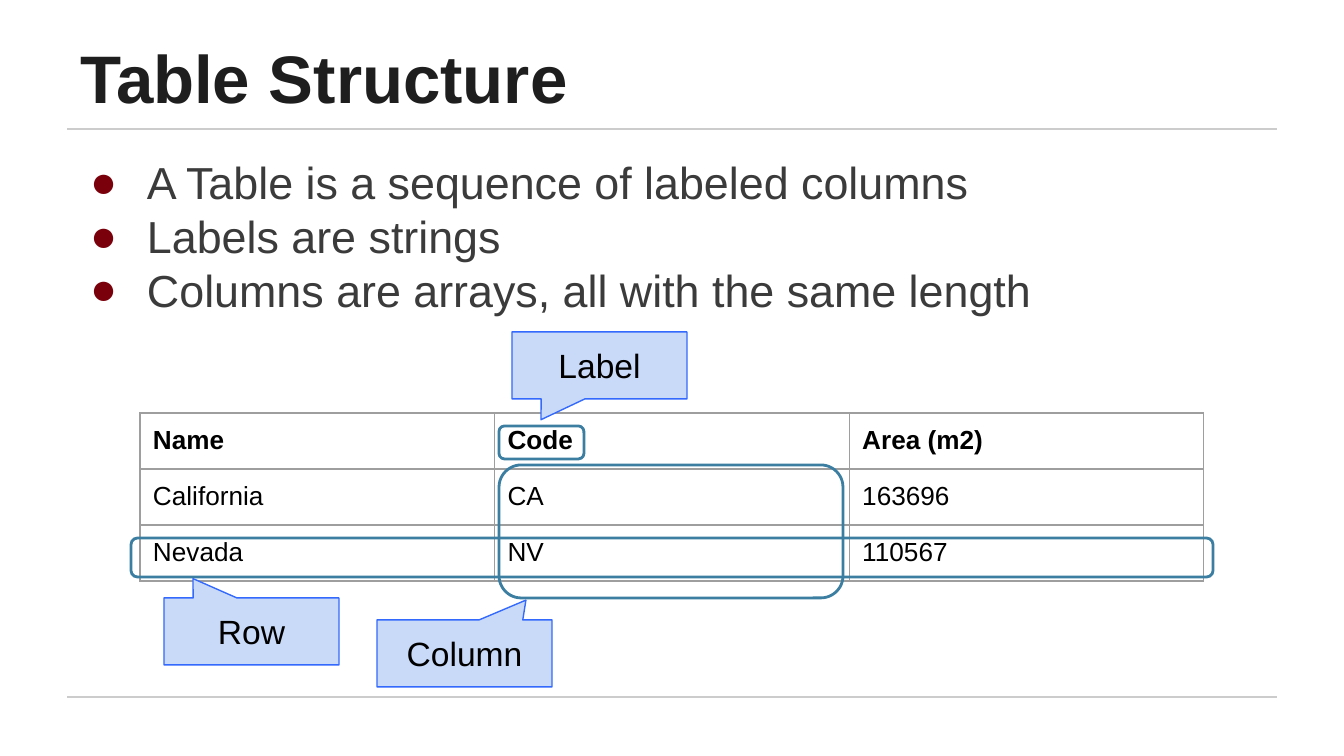
from lxml import etree
from pptx import Presentation
from pptx.dml.color import RGBColor
from pptx.enum import shapes, text
from pptx.oxml import parse_xml
from pptx.oxml.ns import nsdecls, qn
from pptx.util import Pt

# Content
TITLE = "Table Structure"
POINTS = [
    "A Table is a sequence of labeled columns",
    "Labels are strings",
    "Columns are arrays, all with the same length",
]
ROWS = [
    ("Name", "Code", "Area (m2)"),
    ("California", "CA", "163696"),
    ("Nevada", "NV", "110567"),
]
# Callout word, its box, its tip, and the frame it points to (px)
NOTES = [
    ("Label", (512, 332), (-0.334, 0.811), (499, 426, 85, 33)),
    ("Column", (377, 620), (0.351, -0.796), (499, 465, 344, 133)),
    ("Row", (164, 598), (-0.334, -0.789), (131, 538, 1082, 39)),
]
NOTE_W, NOTE_H = 175, 67
RULES = [129, 697]
GRID = (140, 413, 1064, 168)

INK = RGBColor(0x1E, 0x1E, 0x1E)
GREY = RGBColor(0x3B, 0x3B, 0x3B)
BLACK = RGBColor(0, 0, 0)
RULE = RGBColor(0xCC, 0xCC, 0xCC)
EDGE = RGBColor(0x9E, 0x9E, 0x9E)
RED = RGBColor(0x7A, 0x00, 0x0B)
TEAL = RGBColor(0x3B, 0x7E, 0xA1)
BLUE = RGBColor(0x33, 0x69, 0xFC)
PALE = RGBColor(0xC9, 0xDA, 0xF8)


def px(*vals):
    return [round(v * 914400 / 134.4) for v in vals]


PAD = px(13)[0]


def write(par, words, size, color, bold=False):
    run = par.add_run()
    run.text = words
    font = run.font
    font.name, font.size, font.bold = "Arial", Pt(size), bold
    font.color.rgb = color


def inset(box):
    box.margin_left = box.margin_right = PAD
    box.margin_top = box.margin_bottom = PAD


def place(shape, *area):
    shape.left, shape.top, shape.width, shape.height = px(*area)
    frame = shape.text_frame
    inset(frame)
    frame.word_wrap = True
    frame.auto_size = text.MSO_AUTO_SIZE.NONE
    return frame


def bullet(par):
    props = par._p.get_or_add_pPr()
    left, hang = px(67, -57)
    props.set("marL", str(left))
    props.set("indent", str(hang))
    tint = etree.SubElement(props, qn("a:buClr"))
    etree.SubElement(tint, qn("a:srgbClr")).set("val", str(RED))
    etree.SubElement(props, qn("a:buFont")).set("typeface", "Arial")
    etree.SubElement(props, qn("a:buChar")).set("char", "●")


def border(cell):
    props = cell._tc.get_or_add_tcPr()
    for i, side in enumerate("LRTB"):
        props.insert(i, parse_xml(
            f'<a:ln{side} {nsdecls("a")} w="{Pt(0.75)}"><a:solidFill>'
            f'<a:srgbClr val="{EDGE}"/></a:solidFill></a:ln{side}>'))


def outline(shape, color, width):
    shape.shadow.inherit = False
    shape.line.color.rgb = color
    shape.line.width = Pt(width)


deck = Presentation()
deck.slide_width, deck.slide_height = px(1344, 756)
slide = deck.slides.add_slide(deck.slide_layouts[1])
items = slide.shapes

# Rules under the title and above the foot
for y in RULES:
    rule = items.add_connector(shapes.MSO_CONNECTOR.STRAIGHT, *px(67, y, 1277, y))
    rule.line.color.rgb = RULE
    rule.line.width = Pt(0.75)
    etree.SubElement(rule._element.spPr, qn("a:effectLst"))

# Title
head = place(items.title, 67, 31, 985, 99)
head.vertical_anchor = text.MSO_ANCHOR.BOTTOM
head.paragraphs[0].alignment = text.PP_ALIGN.LEFT
write(head.paragraphs[0], TITLE, 36, INK, True)

# Bulleted list
body = place(slide.placeholders[1], 67, 142, 1210, 195)
body.vertical_anchor = text.MSO_ANCHOR.TOP
for i, point in enumerate(POINTS):
    par = body.add_paragraph() if i else body.paragraphs[0]
    par.space_before = Pt(0)
    bullet(par)
    write(par, point, 24, GREY)

# Table
table = items.add_table(len(ROWS), len(ROWS[0]), *px(*GRID)).table
table.first_row = table.horz_banding = False
for r, row in enumerate(ROWS):
    for c, words in enumerate(row):
        cell = table.cell(r, c)
        cell.fill.background()
        border(cell)
        inset(cell)
        write(cell.text_frame.paragraphs[0], words, 14, BLACK, r == 0)

# Frames with their callouts
for word, spot, tip, area in NOTES:
    group = items.add_group_shape().shapes
    ring = group.add_shape(shapes.MSO_SHAPE.ROUNDED_RECTANGLE, *px(*area))
    ring.fill.background()
    outline(ring, TEAL, 1.5)

    note = group.add_shape(shapes.MSO_SHAPE.ROUNDED_RECTANGULAR_CALLOUT,
                           *px(*spot, NOTE_W, NOTE_H))
    for i, value in enumerate((*tip, 0)):
        note.adjustments[i] = value
    note.fill.solid()
    note.fill.fore_color.rgb = PALE
    outline(note, BLUE, 0.75)
    frame = note.text_frame
    inset(frame)
    frame.vertical_anchor = text.MSO_ANCHOR.MIDDLE
    frame.paragraphs[0].alignment = text.PP_ALIGN.CENTER
    write(frame.paragraphs[0], word, 18, BLACK)

deck.save("out.pptx")
